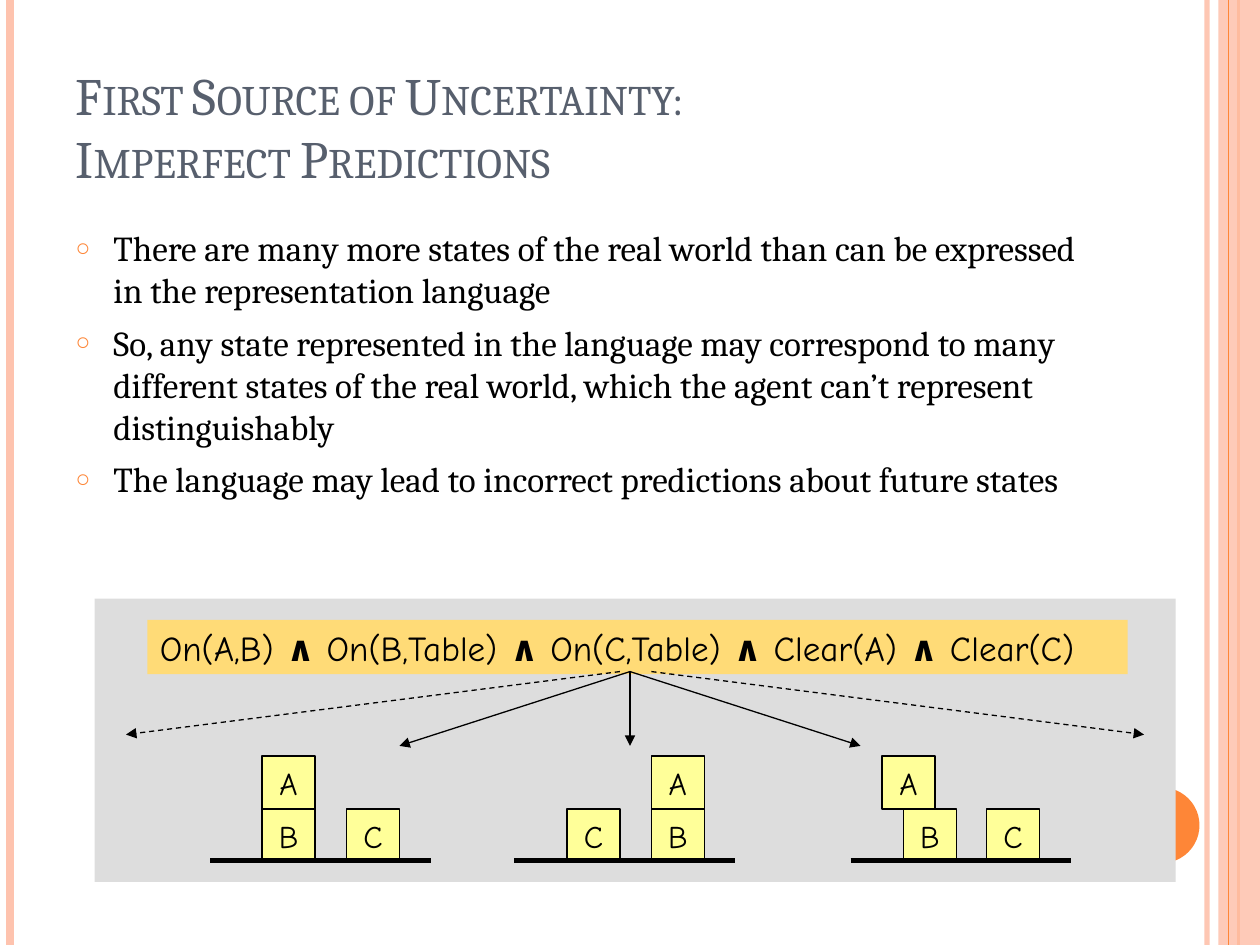
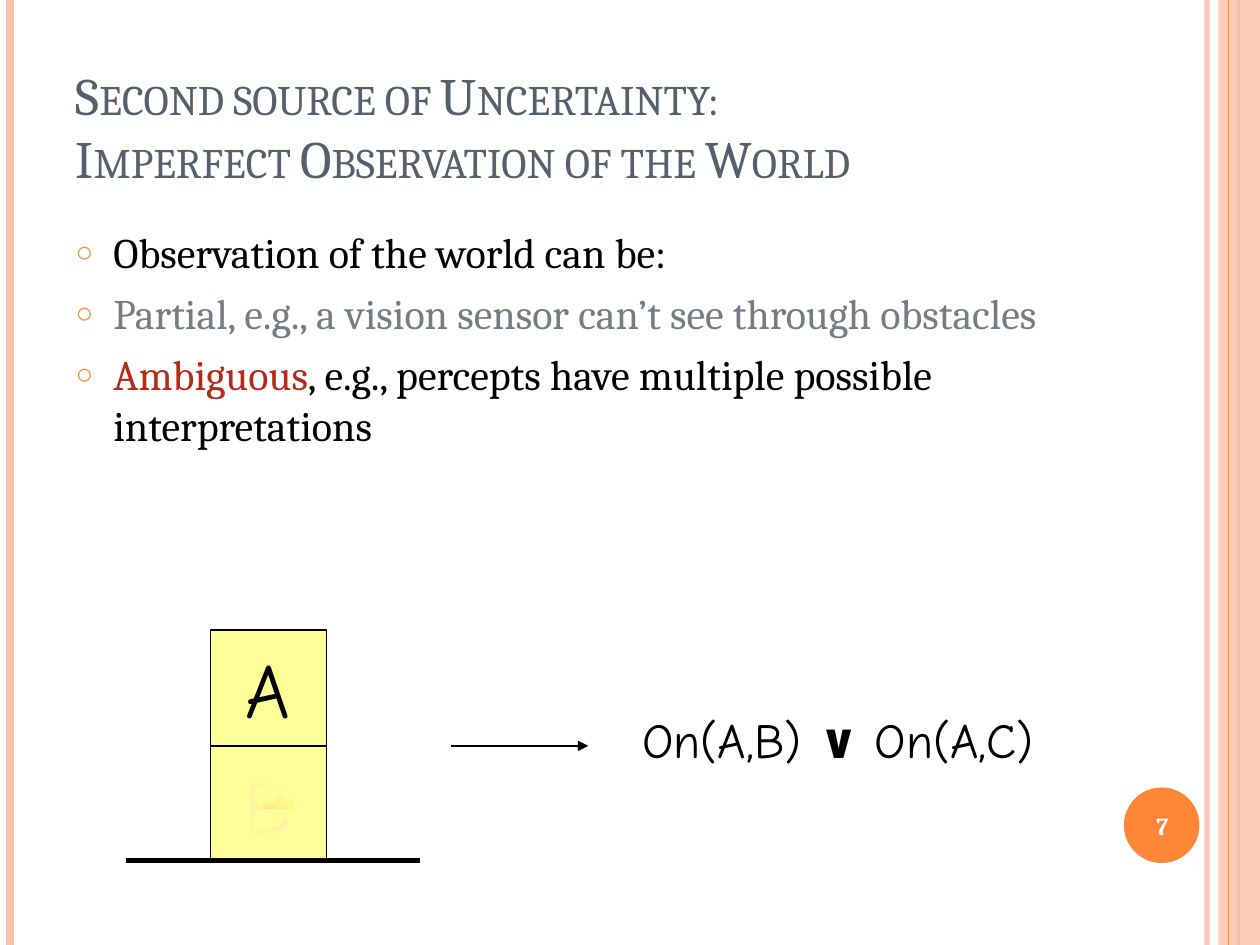
from copy import deepcopy
from dataclasses import dataclass

from lxml import etree
from pptx import Presentation
from pptx.dml.color import RGBColor
from pptx.enum.dml import MSO_LINE
from pptx.enum.shapes import MSO_CONNECTOR, MSO_SHAPE
from pptx.enum.text import MSO_ANCHOR, MSO_AUTO_SIZE, PP_ALIGN
from pptx.oxml.ns import qn
from pptx.util import Inches, Pt

STRAIGHT = MSO_CONNECTOR.STRAIGHT
RECTANGLE, OVAL = MSO_SHAPE.RECTANGLE, MSO_SHAPE.OVAL
TOP, MIDDLE, BOTTOM = MSO_ANCHOR.TOP, MSO_ANCHOR.MIDDLE, MSO_ANCHOR.BOTTOM
LEFT, CENTER = PP_ALIGN.LEFT, PP_ALIGN.CENTER
NO_FIT, GROW = MSO_AUTO_SIZE.NONE, MSO_AUTO_SIZE.SHAPE_TO_FIT_TEXT
DASH = MSO_LINE.DASH


@dataclass(frozen=True)
class Theme:
    serif: str = "Cambria"
    comic: str = "Comic Neue"
    black: str = "000000"
    white: str = "FFFFFF"
    title: str = "575F6D"
    muted: str = "777C84"
    red: str = "B32C16"
    orange: str = "FE8637"
    peach: str = "FEC3AE"
    panel: str = "DDDDDD"
    formula: str = "FFDB77"
    block: str = "FFFF99"
    faded: str = "FFF39D"
    gold: str = "FFCC00"
    title_size: int = 30
    number_size: int = 14
    block_size: int = 18
    large_block_size: int = 44
    formula_size: int = 20
    large_formula_size: int = 28


theme = Theme()


def write_text(shape, paragraphs, size, color=theme.black, font=theme.serif, bold=False,
               align=LEFT, anchor=TOP, wrap=True, fit=NO_FIT, small_caps=False, bullets=False):
    """Fill a shape; each paragraph is a list of (text, overrides) runs."""
    frame = shape.text_frame
    frame.auto_size, frame.word_wrap, frame.vertical_anchor = fit, wrap, anchor
    for index, runs in enumerate(paragraphs):
        paragraph = frame.add_paragraph() if index else frame.paragraphs[0]
        paragraph.alignment = align
        if bullets:
            paragraph.space_before = Pt(6 if index else 0)
            properties = paragraph._p.get_or_add_pPr()
            properties.set("marL", str(Inches(0.3)))
            properties.set("indent", str(-Inches(0.3)))
            bullet_color = etree.SubElement(properties, qn("a:buClr"))
            etree.SubElement(bullet_color, qn("a:srgbClr"), val=theme.orange)
            etree.SubElement(properties, qn("a:buSzPct"), val="70000")
            etree.SubElement(properties, qn("a:buChar"), char="○")
        for text, overrides in runs:
            for line_index, line in enumerate(text.split("\n")):
                if line_index:
                    paragraph.add_line_break()
                run = paragraph.add_run()
                run.text = line
                run.font.name, run.font.size = font, Pt(size)
                run.font.bold = overrides.get("bold", bold)
                run.font.color.rgb = RGBColor.from_string(overrides.get("color", color))
                if small_caps:
                    run._r.get_or_add_rPr().set("cap", "small")
        for line_break in paragraph._p.findall(qn("a:br")):
            line_break.append(deepcopy(run._r.rPr))


def draw_line(slide, start, end, width=0.75, color=theme.black, dash=None, arrow=False):
    line = slide.shapes.add_connector(STRAIGHT, *map(Inches, start + end))
    line.line.width = Pt(width)
    line.line.color.rgb = RGBColor.from_string(color)
    if dash:
        line.line.dash_style = dash
    if arrow:
        etree.SubElement(line.line._get_or_add_ln(), qn("a:tailEnd"), type="triangle")
    etree.SubElement(line._element.spPr, qn("a:effectLst"))
    return line


presentation = Presentation()
presentation.slide_width, presentation.slide_height = Inches(10), Inches(7.5)
translucent = []  # (shape, opacity in percent for each of its colours)

contents = [
    ("First Source of Uncertainty:\nImperfect Predictions", 20, [
        [("There are many more states of the real world than can be expressed "
          "in the representation language", {})],
        [("So, any state represented in the language may correspond to many different states "
          "of the real world, which the agent can’t represent distinguishably", {})],
        [("The language may lead to incorrect predictions about future states", {})],
    ]),
    ("Second source of Uncertainty:\nImperfect Observation of the World", 24, [
        [("Observation of the world can be:", {})],
        [("Partial, e.g., a vision sensor can’t see through obstacles", {"color": theme.muted})],
        [("Ambiguous", {"color": theme.red}),
         (", e.g., percepts have multiple possible interpretations", {})],
    ]),
]

# Side bands, page circle, title and list
for title, body_size, items in contents:
    slide = presentation.slides.add_slide(presentation.slide_layouts[1])
    for placeholder, top, height in zip(slide.placeholders, (0.3, 1.75), (1.25, 5.33)):
        placeholder.left, placeholder.top = Inches(0.5), Inches(top)
        placeholder.width, placeholder.height = Inches(8.17), Inches(height)
    write_text(slide.shapes.title, [[(title, {})]], theme.title_size, theme.title,
               anchor=BOTTOM, small_caps=True)
    write_text(slide.placeholders[1], items, body_size, bullets=True)

    for x, width, color in ((9.58, 3, theme.peach), (0.08, 4.5, theme.peach),
                            (9.83, 1.5, theme.orange)):
        line = draw_line(slide, (x, 0), (x, 7.5), width, color)
        if x == 9.58:
            translucent.append((line, [93]))
    for kind, box, color, opacity in (
            (RECTANGLE, (9.67, 0, 0.33, 7.5), theme.peach, 87),
            (OVAL, (8.92, 6.25, 0.6, 0.6), theme.orange, 100)):
        shape = slide.shapes.add_shape(kind, *map(Inches, box))
        shape.shadow.inherit = False
        shape.fill.solid()
        shape.fill.fore_color.rgb = RGBColor.from_string(color)
        shape.line.fill.background()
        translucent.append((shape, [opacity]))
    draw_line(slide, (9.75, 0), (9.75, 7.5), 0.75, theme.orange)

prediction_slide, observation_slide = presentation.slides

# Panel and formula bar of the first slide
for box, color in (((0.75, 4.75, 8.58, 2.25), theme.panel),
                   ((1.17, 4.92, 7.78, 0.43), theme.formula)):
    formula_bar = prediction_slide.shapes.add_shape(RECTANGLE, *map(Inches, box))
    formula_bar.shadow.inherit = False
    formula_bar.fill.solid()
    formula_bar.fill.fore_color.rgb = RGBColor.from_string(color)
    formula_bar.line.fill.background()

# Blocks of both slides
blocks = []
small = 0.42
for a_left, b_left, c_left in ((2.08, 2.08, 2.75), (5.17, 5.17, 4.5), (7, 7.17, 7.83)):
    for letter, left, top in (("A", a_left, 6), ("B", b_left, 6.42), ("C", c_left, 6.42)):
        blocks.append((prediction_slide, letter, left, top, small, theme.block_size, theme.black))
for letter, top, color in (("A", 5, theme.black), ("B", 5.92, theme.faded)):
    blocks.append((observation_slide, letter, 1.67, top, 0.92, theme.large_block_size, color))

for slide, letter, left, top, side, size, color in blocks:
    block = slide.shapes.add_shape(RECTANGLE, *map(Inches, (left, top, side, side)))
    block.shadow.inherit = False
    block.fill.solid()
    block.fill.fore_color.rgb = RGBColor.from_string(theme.block)
    block.line.color.rgb = RGBColor.from_string(theme.black)
    block.line.width = Pt(0.75)
    write_text(block, [[(letter, {})]], size, color, theme.comic,
               align=CENTER, anchor=MIDDLE, wrap=False)

# Smudges over the hidden block: a start, then curves of two controls and an end
smudges = [
    (53, (1.92, 6.42), [
        ((1.96, 6.42), (2.12, 6.54), (2.17, 6.58)), ((2.21, 6.62), (2.21, 6.67), (2.17, 6.67)),
        ((2.12, 6.67), (1.96, 6.62), (1.92, 6.58)), ((1.88, 6.54), (1.88, 6.42), (1.92, 6.42))]),
    (74, (1.92, 6.08), [
        ((1.88, 6.11), (1.81, 6.14), (1.83, 6.17)), ((1.86, 6.19), (2.07, 6.22), (2.08, 6.25)),
        ((2.1, 6.28), (1.89, 6.32), (1.92, 6.33)), ((1.94, 6.35), (2.21, 6.32), (2.25, 6.33)),
        ((2.29, 6.35), (2.14, 6.38), (2.17, 6.42)), ((2.19, 6.46), (2.39, 6.61), (2.42, 6.58)),
        ((2.44, 6.56), (2.38, 6.32), (2.33, 6.25)), ((2.29, 6.18), (2.21, 6.21), (2.17, 6.17)),
        ((2.12, 6.12), (2.12, 6.01), (2.08, 6)), ((2.04, 5.99), (1.96, 6.06), (1.92, 6.08))]),
]
STEPS = 8
for opacity, start, curves in smudges:
    points = [start]
    for first, second, end in curves:
        origin = points[-1]
        for step in range(1, STEPS + 1):
            t = step / STEPS
            points.append(tuple(
                (1 - t) ** 3 * p0 + 3 * t * (1 - t) ** 2 * p1 + 3 * t ** 2 * (1 - t) * p2 + t ** 3 * p3
                for p0, p1, p2, p3 in zip(origin, first, second, end)))
    builder = observation_slide.shapes.build_freeform(*map(Inches, start))
    builder.add_line_segments([(Inches(x), Inches(y)) for x, y in points[1:]], close=True)
    smudge = builder.convert_to_shape()
    smudge.shadow.inherit = False
    smudge.fill.solid()
    smudge.fill.fore_color.rgb = RGBColor.from_string(theme.block)
    smudge.line.fill.background()
    translucent.append((smudge, [opacity]))

glint = observation_slide.shapes.add_shape(RECTANGLE, *map(Inches, (2.09, 6.32, 0.24, 0.1)))
glint.shadow.inherit = False
glint.fill.gradient()
glint.fill.gradient_angle = 270
for stop, color in zip(glint.fill.gradient_stops, (theme.block, theme.gold)):
    stop.color.rgb = RGBColor.from_string(color)
glint.line.fill.background()
translucent.append((glint, [18, 19]))

# Tables under the blocks, and arrows
for left in (1.67, 4.08, 6.75):
    draw_line(prediction_slide, (left, 6.83), (left + 1.75, 6.83), 3)
draw_line(observation_slide, (1, 6.83), (3.33, 6.83), 3)

for start_x, end_x, end_y, dash in ((5, 3.17, 5.92, None), (5, 6.83, 5.92, None),
                                    (5, 5, 5.92, None), (4.92, 1, 5.83, DASH),
                                    (5.17, 9.08, 5.83, DASH)):
    draw_line(prediction_slide, (start_x, 5.33), (end_x, end_y), dash=dash, arrow=True)
draw_line(observation_slide, (3.58, 5.92), (4.67, 5.92), arrow=True)

# Formulas, with bold logical operators
formula_box = observation_slide.shapes.add_textbox(*map(Inches, (5, 5.58, 3.53, 0.57)))
for shape, formula, size in (
        (formula_bar, "On(A,B) ∧ On(B,Table) ∧ On(C,Table) ∧ Clear(A) ∧ Clear(C)",
         theme.formula_size),
        (formula_box, "On(A,B) ∨ On(A,C)", theme.large_formula_size)):
    runs = [(" " * bool(index) + word, {"bold": word in "∧∨"})
            for index, word in enumerate(formula.split())]
    write_text(shape, [runs], size, font=theme.comic, wrap=False, fit=GROW)

page_number = observation_slide.shapes.add_textbox(*map(Inches, (8.89, 6.27, 0.67, 0.57)))
write_text(page_number, [[("7", {})]], theme.number_size, theme.white, bold=True,
           align=CENTER, anchor=MIDDLE)

for shape, opacities in translucent:
    for color, opacity in zip(shape._element.spPr.iter(qn("a:srgbClr")), opacities):
        etree.SubElement(color, qn("a:alpha"), val=str(opacity * 1000))

presentation.save("out.pptx")
